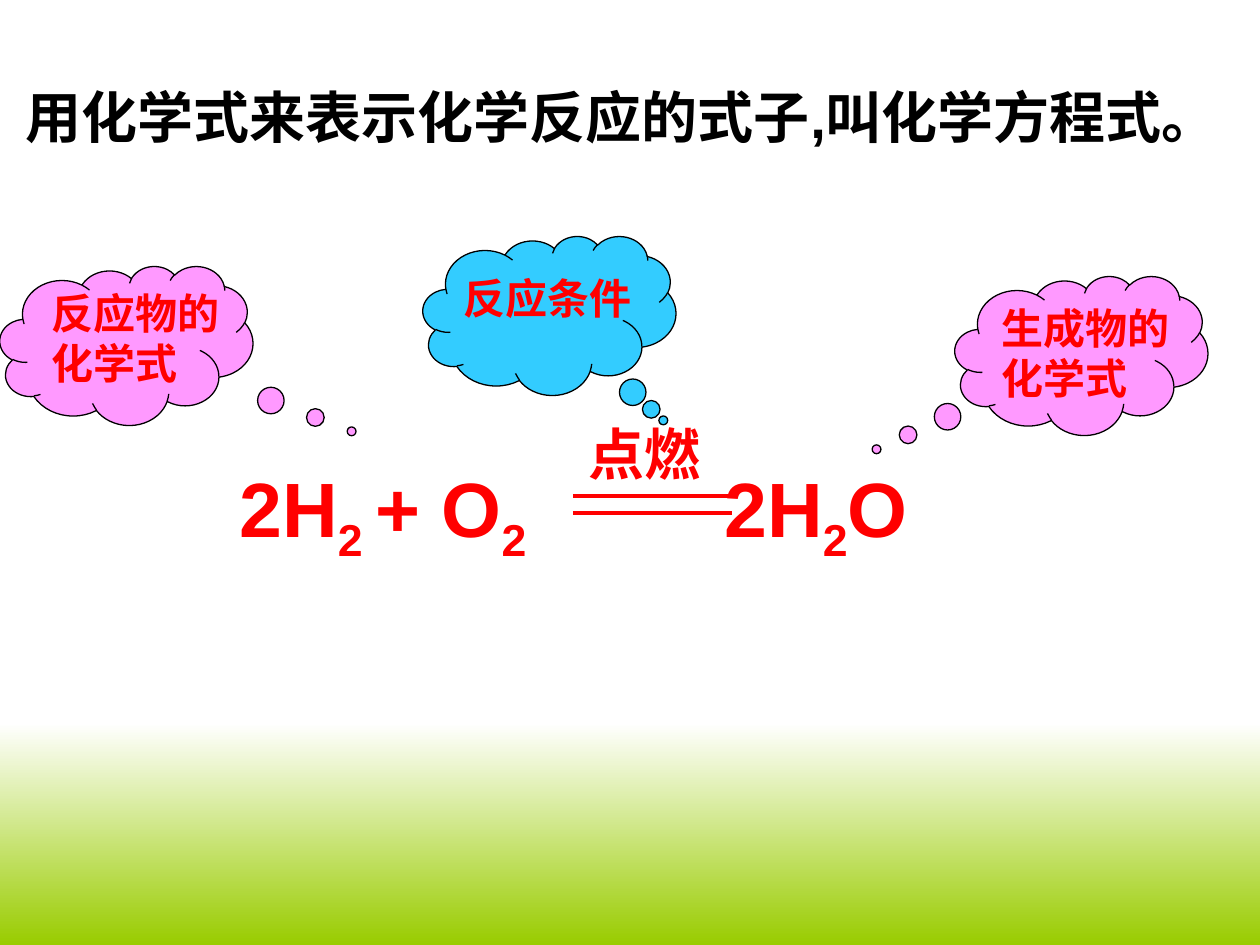
from dataclasses import dataclass

from lxml.etree import SubElement
from pptx import Presentation
from pptx.dml.color import RGBColor
from pptx.enum.shapes import MSO_CONNECTOR as Connector, MSO_SHAPE as Shape
from pptx.oxml.ns import qn
from pptx.util import Emu, Pt

PIXEL = 914400 // 126
WIDTH, HEIGHT = 1260, 945


@dataclass(frozen=True)
class Theme:
    font: str = "Arial"
    ink: RGBColor = RGBColor(0, 0, 0)
    red: RGBColor = RGBColor(255, 0, 0)
    pink: RGBColor = RGBColor(255, 153, 255)
    blue: RGBColor = RGBColor(51, 204, 255)
    white: RGBColor = RGBColor(255, 255, 255)
    green: RGBColor = RGBColor(153, 204, 0)
    formula: int = 44
    heading: int = 32
    label: int = 24


theme = Theme()


def px(*lengths):
    """Turn pixel lengths into EMU."""
    return [Emu(length * PIXEL) for length in lengths]


def add_text(box, pieces, size, color, wrap=True):
    """Add a bold text box; a piece that starts with "_" is a subscript."""
    frame = slide.shapes.add_textbox(*px(*box)).text_frame
    frame.word_wrap = wrap
    for piece in pieces:
        run = frame.paragraphs[0].add_run()
        run.text = piece.lstrip("_")
        run.font.name, run.font.size = theme.font, Pt(size)
        run.font.bold, run.font.color.rgb = True, color
        if piece.startswith("_"):
            run.font._element.set("baseline", "-25000")


deck = Presentation()
deck.slide_width, deck.slide_height = px(WIDTH, HEIGHT)
slide = deck.slides.add_slide(deck.slide_layouts[6])

# Heading
add_text((13, 76, 1275, 79), ["用化学式来表示化学反应的式子,叫化学方程式。".replace(",", ",")],
         theme.heading, theme.ink)

# Equation: reactants, product, condition and the double line
add_text((227, 454, 340, 105), ["2H", "_2 ", "+ O", "_2"], theme.formula, theme.red)
add_text((712, 454, 398, 105), ["2H", "_2", "O"], theme.formula, theme.red)
add_text((563, 413, 155, 81), [" 点燃"], theme.heading, theme.red, wrap=False)
for y in (496, 513):
    equals_line = slide.shapes.add_connector(Connector.STRAIGHT, *px(573, y, 732, y))
    equals_line.line.color.rgb, equals_line.line.width = theme.red, Pt(2.25)
    SubElement(equals_line._element.spPr, qn("a:effectLst"))

# Clouds: position, pointer offsets, fill, label and label box
clouds = [
    ((0, 266), (0.89, 0.54), theme.pink, "反应物的化学式", (39, 281, 218, 113)),
    ((955, 276), (-0.81, 0.59), theme.pink, "生成物的化学式", (989, 296, 218, 113)),
    ((423, 236), (0.45, 0.66), theme.blue, "反应条件", (451, 266, 218, 63)),
]
for corner, pointer, fill, label, label_box in clouds:
    cloud = slide.shapes.add_shape(Shape.CLOUD_CALLOUT, *px(*corner, 253, 159))
    cloud.adjustments[0], cloud.adjustments[1] = pointer
    cloud.shadow.inherit = False
    cloud.fill.solid()
    cloud.fill.fore_color.rgb = fill
    cloud.line.color.rgb, cloud.line.width = theme.ink, Pt(0.75)
    add_text(label_box, [label], theme.label, theme.red)

# Green fade along the bottom
meadow_top = 723
meadow = slide.shapes.add_shape(Shape.RECTANGLE, *px(0, meadow_top, WIDTH, HEIGHT - meadow_top))
meadow.shadow.inherit = False
meadow.line.fill.background()
meadow.fill.gradient()
meadow.fill.gradient_angle = 270
for stop, position, color in zip(meadow.fill.gradient_stops, (0, 1), (theme.white, theme.green)):
    stop.position, stop.color.rgb = position, color

deck.save("out.pptx")
